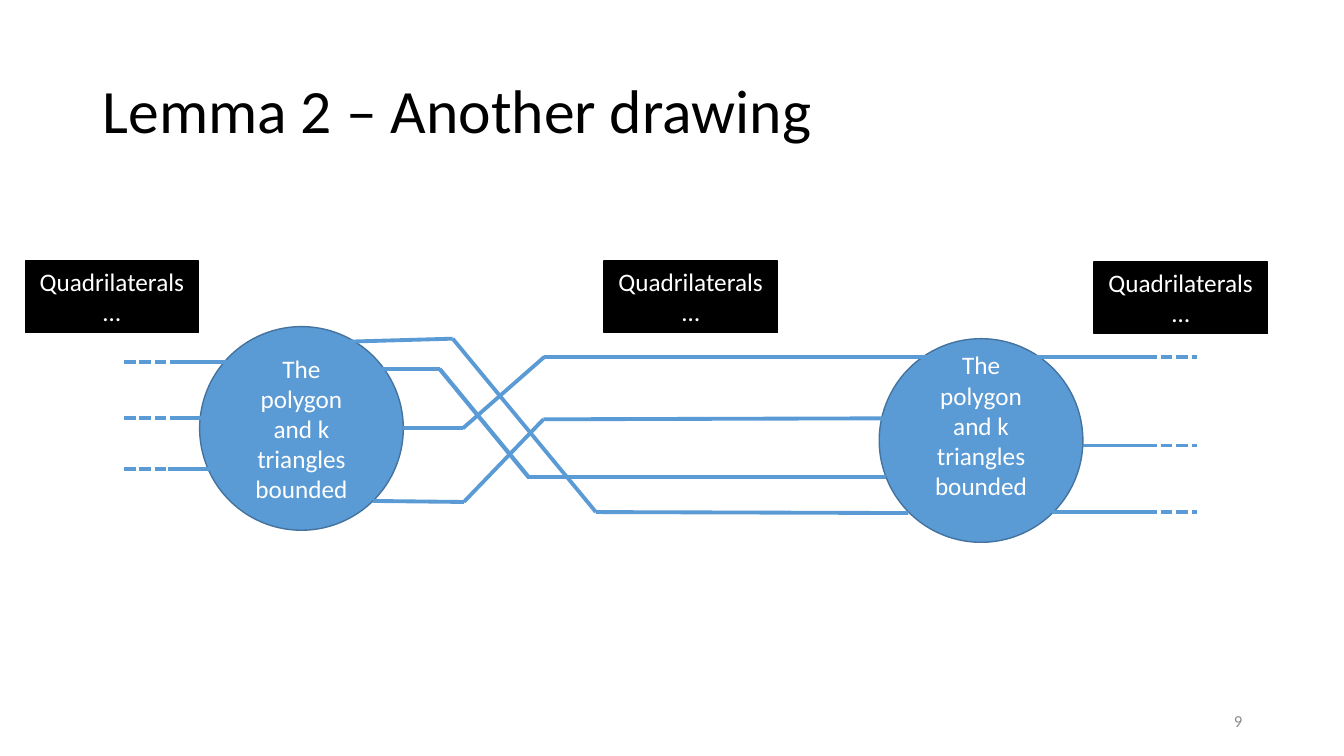
from dataclasses import dataclass
from itertools import pairwise

from lxml import etree
from pptx import Presentation
from pptx.dml.color import RGBColor
from pptx.enum.dml import MSO_LINE
from pptx.enum.shapes import MSO_CONNECTOR, MSO_SHAPE
from pptx.enum.text import MSO_ANCHOR, PP_ALIGN
from pptx.oxml.ns import qn
from pptx.slide import Slide
from pptx.text.text import TextFrame
from pptx.util import Inches, Pt

STRAIGHT = MSO_CONNECTOR.STRAIGHT
OVAL, RECTANGLE = MSO_SHAPE.OVAL, MSO_SHAPE.RECTANGLE
SHORT_DASH = MSO_LINE.SQUARE_DOT
TOP, MIDDLE = MSO_ANCHOR.TOP, MSO_ANCHOR.MIDDLE
LEFT, CENTER, RIGHT = PP_ALIGN.LEFT, PP_ALIGN.CENTER, PP_ALIGN.RIGHT

Point = tuple[float, float]


@dataclass(frozen=True)
class Theme:
    font: str = "Calibri"
    black: RGBColor = RGBColor(0, 0, 0)
    white: RGBColor = RGBColor(255, 255, 255)
    gray: RGBColor = RGBColor(0x8C, 0x8C, 0x8C)
    blue: RGBColor = RGBColor(0x5B, 0x9B, 0xD5)
    dark_blue: RGBColor = RGBColor(0x43, 0x73, 0x9E)
    title_size: float = 44
    body_size: float = 18
    number_size: float = 12
    outline: float = 1
    strand: float = 2.75
    thick_strand: float = 3


@dataclass(frozen=True)
class Box:
    left: float
    top: float
    width: float
    height: float


@dataclass(frozen=True)
class Node:
    """A filled shape with centred text."""
    box: Box
    kind: MSO_SHAPE
    text: str
    fill: RGBColor
    line: RGBColor
    anchor: MSO_ANCHOR
    bottom_inset: float = 0.05


@dataclass(frozen=True)
class Strand:
    """A chain of straight segments."""
    points: tuple[Point, ...]
    width: float
    dashed: bool = False


THEME = Theme()


def circle(left: float, top: float, bottom_inset: float = 0.05) -> Node:
    return Node(Box(left, top, 2.02, 2.02), OVAL, "The polygon and k triangles bounded",
                THEME.blue, THEME.dark_blue, MIDDLE, bottom_inset)


def label(left: float, top: float) -> Node:
    return Node(Box(left, top, 1.72, 0.71), RECTANGLE, "Quadrilaterals …",
                THEME.black, THEME.black, TOP)


def level(start: float, end: float, y: float, dashed: bool = False) -> Strand:
    return Strand(((start, y), (end, y)), THEME.strand, dashed)


CIRCLES = [circle(1.98, 3.24), circle(8.72, 3.36, bottom_inset=0.35)]
LABELS = [label(0.25, 2.59), label(5.99, 2.59), label(10.85, 2.6)]

# Strands that cross between the two circles
CROSSING = [
    Strand(((3.44, 3.39), (4.49, 3.36), (5.91, 5.08), (9.01, 5.09)), THEME.strand),
    Strand(((4, 4.25), (4.59, 4.25), (5.4, 3.54), (9.21, 3.54)), THEME.strand),
    Strand(((3.7, 4.97), (4.6, 4.98), (5.39, 4.16), (8.79, 4.15)), THEME.strand),
    Strand(((3.76, 3.66), (4.36, 3.66), (5.24, 4.73)), THEME.thick_strand),
    level(5.23, 8.79, 4.73),
]

# Outer strands: (start, end, height) of each solid part
LEFT_ENDS = [(1.74, 2.4, 3.59), (1.71, 2.37, 4.15), (1.67, 2.32, 4.65)]
RIGHT_ENDS = [(10.27, 11.43, 3.54), (10.74, 11.43, 4.42), (10.43, 11.43, 5.08)]
OUTER = [level(*end) for end in LEFT_ENDS + RIGHT_ENDS]
OUTER += [level(1.23, 1.74, y, dashed=True) for _, _, y in LEFT_ENDS]
OUTER += [level(11.36, 11.87, y, dashed=True) for _, _, y in RIGHT_ENDS]


def write_text(frame: TextFrame, text: str, size: float, color: RGBColor,
               align: PP_ALIGN, anchor: MSO_ANCHOR, spacing: float = 1.0) -> None:
    frame.word_wrap = True
    frame.vertical_anchor = anchor
    paragraph = frame.paragraphs[0]
    paragraph.alignment = align
    paragraph.line_spacing = spacing
    run = paragraph.add_run()
    run.text = text
    run.font.name = THEME.font
    run.font.size = Pt(size)
    run.font.color.rgb = color


def add_text(slide: Slide, box: Box, text: str, size: float, color: RGBColor,
             align: PP_ALIGN, spacing: float = 1.0) -> None:
    shape = slide.shapes.add_textbox(Inches(box.left), Inches(box.top),
                                     Inches(box.width), Inches(box.height))
    write_text(shape.text_frame, text, size, color, align, MIDDLE, spacing)


def add_node(slide: Slide, node: Node) -> None:
    box = node.box
    shape = slide.shapes.add_shape(node.kind, Inches(box.left), Inches(box.top),
                                   Inches(box.width), Inches(box.height))
    shape.shadow.inherit = False
    shape.fill.solid()
    shape.fill.fore_color.rgb = node.fill
    shape.line.color.rgb = node.line
    shape.line.width = Pt(THEME.outline)
    shape.text_frame.margin_bottom = Inches(node.bottom_inset)
    write_text(shape.text_frame, node.text, THEME.body_size, THEME.white, CENTER, node.anchor)


def add_strand(slide: Slide, strand: Strand) -> None:
    for (x1, y1), (x2, y2) in pairwise(strand.points):
        connector = slide.shapes.add_connector(STRAIGHT, Inches(x1), Inches(y1),
                                               Inches(x2), Inches(y2))
        connector.line.color.rgb = THEME.blue
        connector.line.width = Pt(strand.width)
        if strand.dashed:
            connector.line.dash_style = SHORT_DASH
        etree.SubElement(connector._element.spPr, qn("a:effectLst"))


def main() -> None:
    presentation = Presentation()
    presentation.slide_width = Inches(13.33)
    presentation.slide_height = Inches(7.5)
    slide = presentation.slides.add_slide(presentation.slide_layouts[6])

    # Title and slide number
    add_text(slide, Box(0.92, 0.4, 11.5, 1.45), "Lemma 2 – Another drawing",
             THEME.title_size, THEME.black, LEFT, spacing=0.9)
    add_text(slide, Box(9.42, 6.95, 3, 0.4), "9", THEME.number_size, THEME.gray, RIGHT)

    # Circles, strands, then labels on top
    for node in CIRCLES:
        add_node(slide, node)
    for strand in CROSSING + OUTER:
        add_strand(slide, strand)
    for node in LABELS:
        add_node(slide, node)

    presentation.save("out.pptx")


if __name__ == "__main__":
    main()
